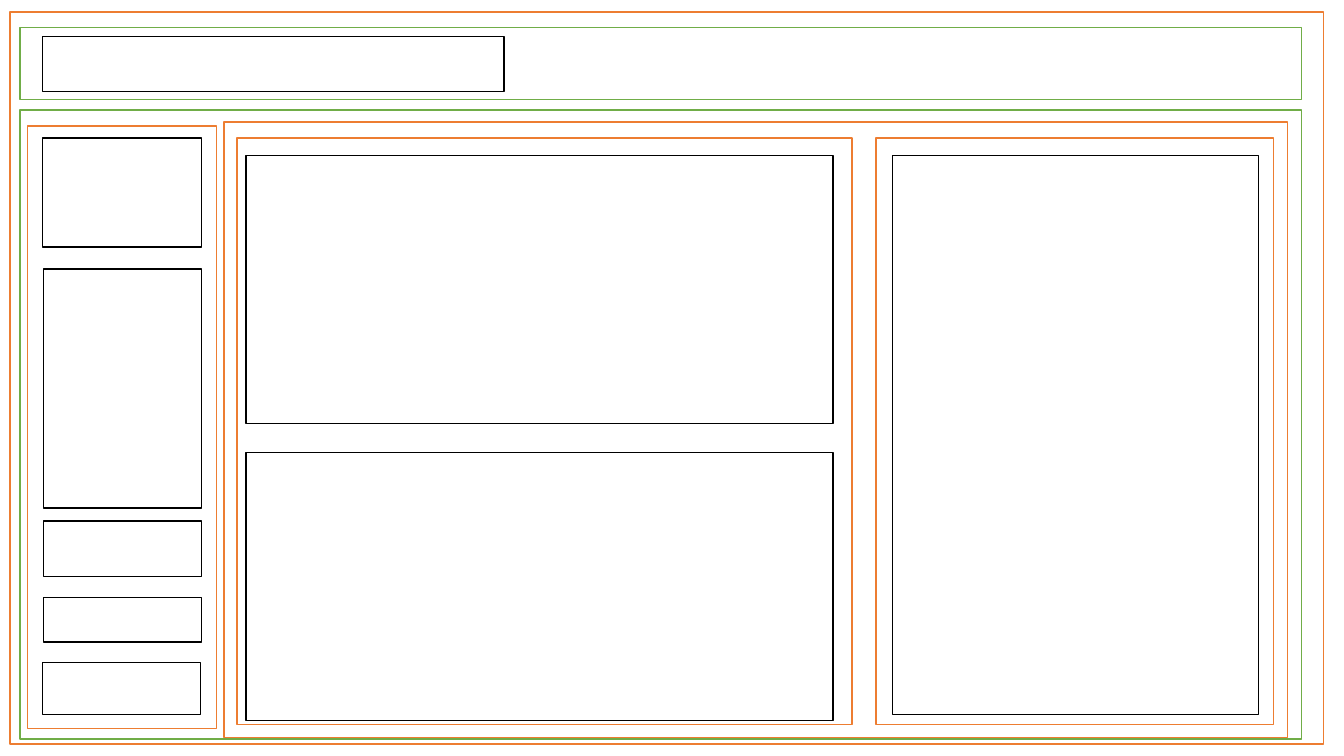
"""Draw a page wireframe of nested frames and stacked content boxes."""
from pptx import Presentation
from pptx.dml.color import RGBColor as Rgb
from pptx.enum.shapes import MSO_SHAPE as Kind
from pptx.util import Inches, Pt

THEME = {"box": "000000", "group": "ED7D31", "band": "70AD47", "line": 1}
SIZE = (13.33, 7.5)

FRAMES = [
    ("group", 0.1, 13.03, [(0.12, 7.26)]),
    ("band", 0.2, 12.71, [(0.27, 0.72), (1.09, 6.24)]),
    ("group", 0.27, 1.88, [(1.25, 5.98)]),
    ("group", 2.22, 10.55, [(1.21, 6.11)]),
    ("group", 2.35, 6.1, [(1.37, 5.82)]),
    ("group", 8.69, 3.94, [(1.37, 5.82)]),
]
BOXES = [
    ("box", 0.42, 4.58, [(0.36, 0.55)]),
    ("box", 0.42, 1.58, [(1.37, 1.08)]),
    ("box", 0.43, 1.57, [(2.67, 2.37), (5.17, 0.55), (5.93, 0.44)]),
    ("box", 0.42, 1.57, [(6.57, 0.52)]),
    ("box", 2.44, 5.82, [(1.54, 2.66), (4.49, 2.66)]),
    ("box", 8.85, 3.63, [(1.54, 5.55)]),
]


def draw(slide, role, *place):
    rect = slide.shapes.add_shape(Kind.RECTANGLE, *map(Inches, place))
    rect.shadow.inherit = False
    rect.fill.background()
    rect.line.color.rgb = Rgb.from_string(THEME[role])
    rect.line.width = Pt(THEME["line"])


deck = Presentation()
deck.slide_width, deck.slide_height = map(Inches, SIZE)
slide = deck.slides.add_slide(deck.slide_layouts[6])

for role, left, width, stack in BOXES + FRAMES:
    for top, height in stack:
        draw(slide, role, left, top, width, height)

deck.save("out.pptx")
